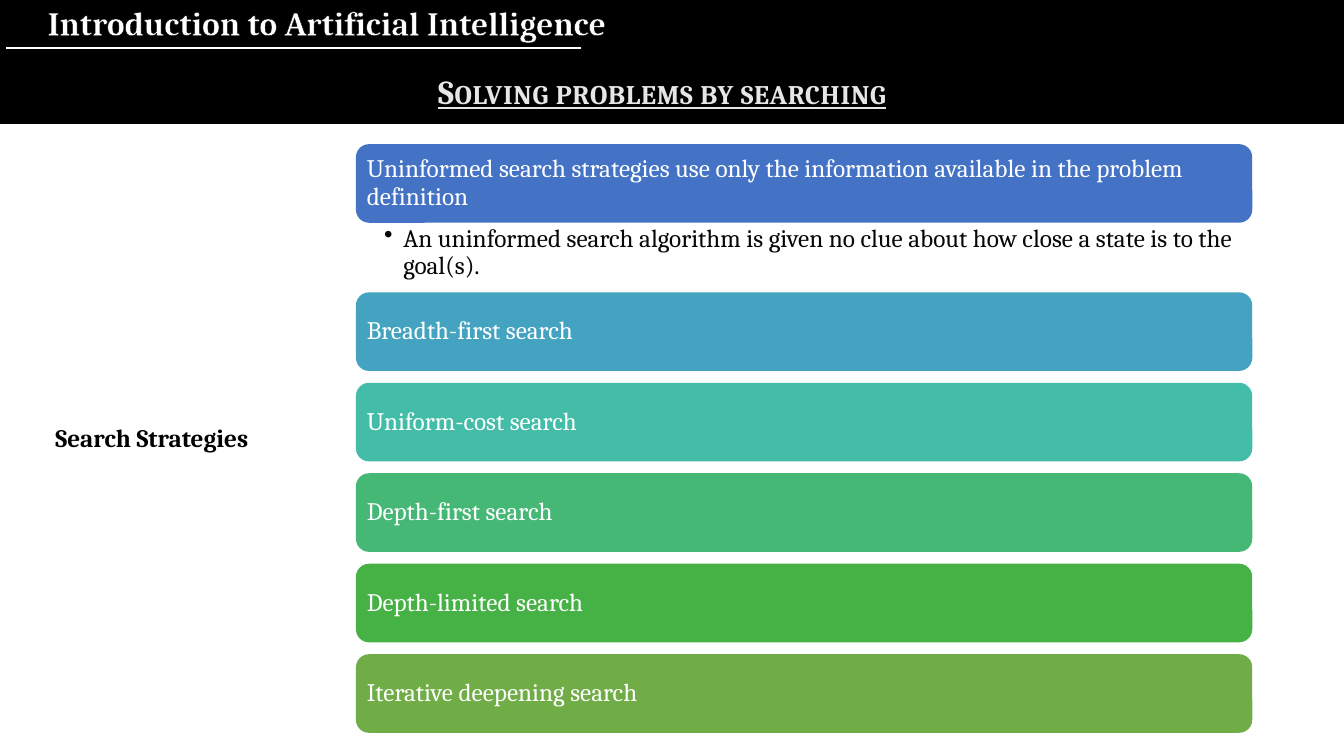
from lxml.etree import SubElement
from pptx import Presentation
from pptx.dml.color import RGBColor
from pptx.enum.shapes import MSO_CONNECTOR, MSO_SHAPE
from pptx.enum.text import MSO_ANCHOR, MSO_AUTO_SIZE, PP_ALIGN
from pptx.oxml import parse_xml
from pptx.oxml.ns import nsdecls, qn
from pptx.util import Inches, Pt


def color(value):
    return RGBColor.from_string(value)


def apply_format(target, values):
    for name, value in values.items():
        setattr(target, name, value)


class SearchSlide:
    font_name = "Cambria"
    heading = {"size": Pt(24), "bold": True}
    label = {"size": Pt(18), "bold": True}
    body = {"size": Pt(18)}
    bar_frame = {
        "word_wrap": True,
        "vertical_anchor": MSO_ANCHOR.MIDDLE,
        "margin_left": Inches(0.07),
        "margin_right": Inches(0.07),
        "margin_top": Inches(0.07),
        "margin_bottom": Inches(0.07),
    }
    detail_frame = {
        "word_wrap": True,
        "margin_left": Inches(0.28),
        "margin_right": Inches(0.14),
        "margin_top": Inches(0.03),
        "margin_bottom": Inches(0.03),
    }
    bar_paragraph = {"alignment": PP_ALIGN.LEFT, "line_spacing": 0.9}
    detail_paragraph = {"level": 1, "line_spacing": 0.9}
    centered = {"alignment": PP_ALIGN.CENTER}

    def __init__(self, slide):
        self.slide = slide

    def fill_text(self, holder, wording, ink, font, frame, paragraph_format):
        apply_format(holder.text_frame, frame)
        paragraph = holder.text_frame.paragraphs[0]
        apply_format(paragraph, paragraph_format)
        run = paragraph.add_run()
        run.text = wording
        apply_format(run.font, {"name": self.font_name, **font})
        run.font.color.rgb = color(ink)
        return paragraph, run

    def block(self, preset, box, fill):
        block = self.slide.shapes.add_shape(preset, *map(Inches, box))
        block.shadow.inherit = False
        block.fill.solid()
        block.fill.fore_color.rgb = color(fill)
        block.line.fill.background()
        return block

    def banner(self, box, fill):
        banner = self.block(MSO_SHAPE.RECTANGLE, box, fill)
        banner.line.color.rgb = color(fill)
        banner.line.width = Pt(1)

    def bar(self, box, fill, wording):
        bar = self.block(MSO_SHAPE.ROUNDED_RECTANGLE, box, fill)
        self.fill_text(bar, wording, "FFFFFF", self.body, self.bar_frame, self.bar_paragraph)

    def text(self, box, wording, ink, font, frame, paragraph_format):
        holder = self.slide.shapes.add_textbox(*map(Inches, box))
        return self.fill_text(holder, wording, ink, font, frame, paragraph_format)

    def caption(self, box, wording, ink, font, paragraph_format, wrap=False):
        frame = {"word_wrap": wrap, "auto_size": MSO_AUTO_SIZE.SHAPE_TO_FIT_TEXT}
        return self.text(box, wording, ink, font, frame, paragraph_format)[1]

    def topic(self, box, wording, ink):
        font = {**self.heading, "underline": True}
        run = self.caption(box, wording, ink, font, self.centered, wrap=True)
        properties = run._r.get_or_add_rPr()
        properties.set("cap", "small")
        properties.set("spc", "50")

    def course_title(self, box, wording, ink, outline):
        run = self.caption(box, wording, ink, self.heading, self.centered)
        run._r.get_or_add_rPr().insert(0, parse_xml(
            f'<a:ln {nsdecls("a")} w="{int(Pt(1))}"><a:solidFill>'
            f'<a:srgbClr val="{outline}"/></a:solidFill></a:ln>'))

    def detail(self, box, wording, ink):
        paragraph, _ = self.text(
            box, wording, ink, self.body, self.detail_frame, self.detail_paragraph)
        properties = paragraph._p.get_or_add_pPr()
        properties.set("marL", str(int(Inches(0.19))))
        properties.set("indent", str(int(Inches(-0.19))))
        SubElement(properties, qn("a:buChar"), char="•")

    def rule(self, start, end, ink):
        rule = self.slide.shapes.add_connector(
            MSO_CONNECTOR.STRAIGHT, *map(Inches, start + end))
        rule.line.color.rgb = color(ink)
        rule.line.width = Pt(1.5)
        SubElement(rule._element.spPr, qn("a:effectLst"))


def main():
    presentation = Presentation()
    presentation.slide_width = Inches(13.33)
    presentation.slide_height = Inches(7.5)
    page = SearchSlide(presentation.slides.add_slide(presentation.slide_layouts[6]))

    page.banner((0, 0, 13.35, 1.22), "000000")
    page.topic((0.01, 0.65, 13.32, 0.5), "Solving problems by searching", "E7E6E6")
    page.rule((0.06, 0.48), (5.76, 0.48), "FFFFFF")
    page.course_title((-0.08, -0.03, 6.64, 0.5),
                      "Introduction to Artificial Intelligence", "FFFFFF", "000000")
    page.caption((0.45, 4.14, 2.46, 0.4), "Search Strategies", "000000", page.label, {})

    left, top, width, bar_height, detail_height = 3.53, 1.43, 8.89, 0.78, 0.69
    page.bar((left, top, width, bar_height), "4472C4",
             "Uninformed search strategies use only the information available "
             "in the problem definition")
    page.detail((left, top + bar_height, width, detail_height),
                "An uninformed search algorithm is given no clue about how close "
                "a state is to the goal(s).", "070707")

    strategies = [
        ("Breadth-first search", "44A3C0"),
        ("Uniform-cost search", "43BDA7"),
        ("Depth-first search", "44B874"),
        ("Depth-limited search", "46B246"),
        ("Iterative deepening search", "70AD47"),
    ]
    first_top, last_top = top + bar_height + detail_height, 6.49
    pitch = (last_top - first_top) / (len(strategies) - 1)
    for row, (strategy, fill) in enumerate(strategies):
        page.bar((left, first_top + row * pitch, width, bar_height), fill, strategy)

    presentation.save("out.pptx")


if __name__ == "__main__":
    main()
